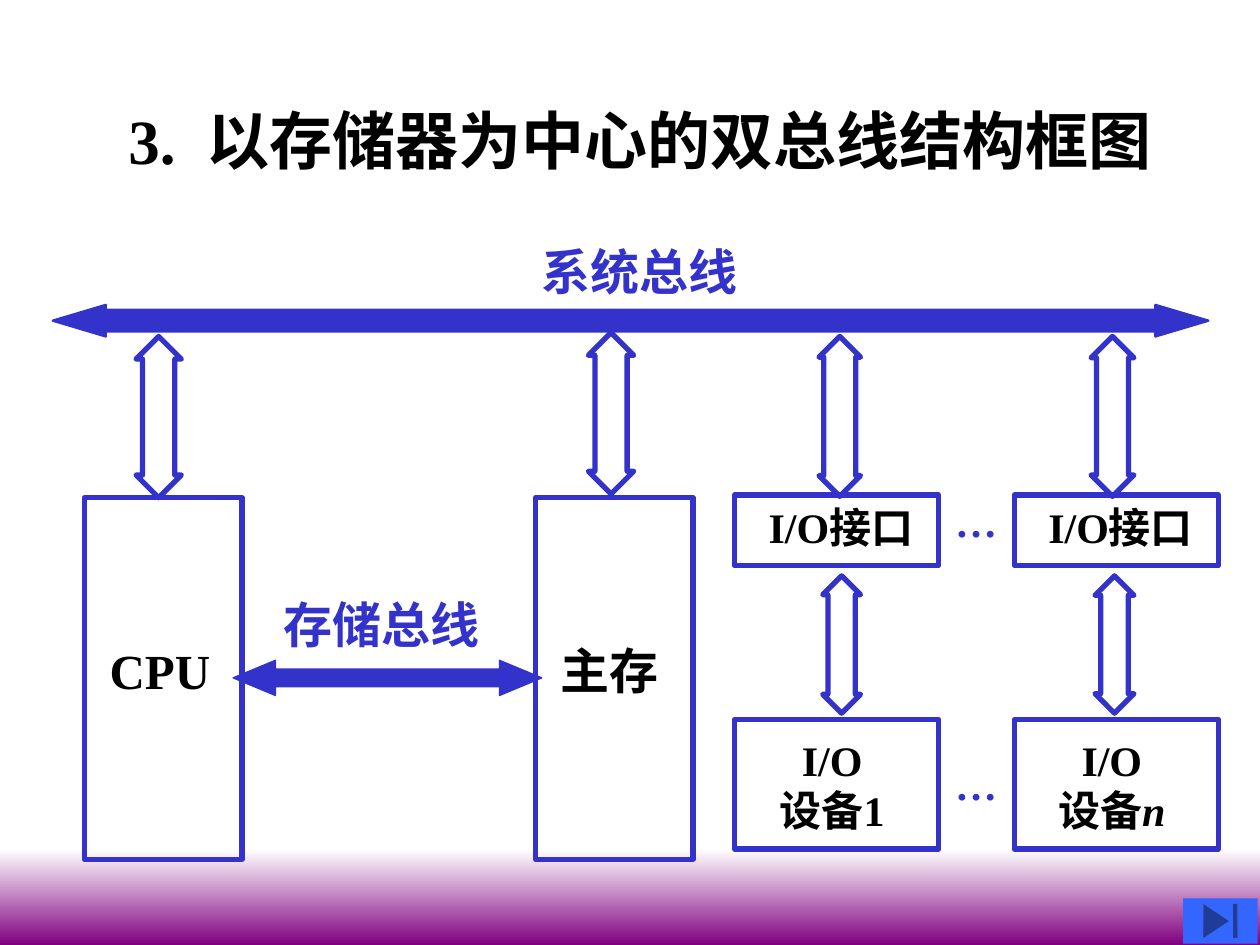
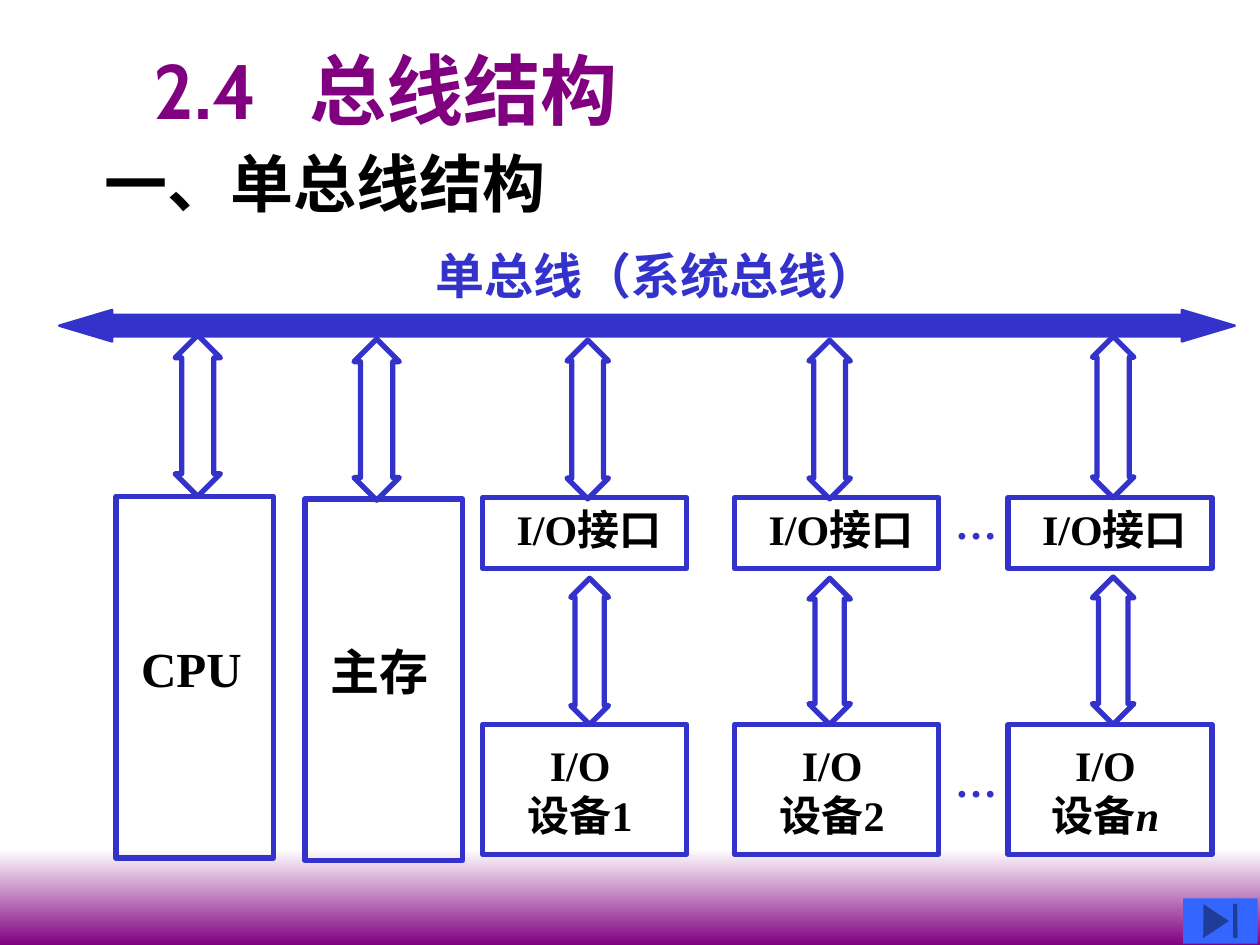
from lxml.etree import SubElement
from pptx import Presentation
from pptx.dml.color import RGBColor
from pptx.enum.shapes import MSO_SHAPE
from pptx.enum.text import MSO_ANCHOR, PP_ALIGN
from pptx.oxml.ns import qn
from pptx.util import Inches, Pt

COLORS = {
    "text": "000000",
    "bus": "3333CC",
    "accent": "800080",
    "paper": "FFFFFF",
    "button": "3366FF",
}
LATIN = "Times New Roman"
HAN = "Noto Sans CJK SC"
BLANK_LAYOUT = 6


def color(name):
    return RGBColor.from_string(COLORS[name])


def write(frame, text, size=28, font=LATIN, ink="text", align=PP_ALIGN.LEFT,
          anchor=MSO_ANCHOR.TOP, insets=(0.1, 0.05, 0.1, 0.05), wrap=True,
          tab=None, italic=None):
    frame.word_wrap = wrap
    frame.vertical_anchor = anchor
    (frame.margin_left, frame.margin_top,
     frame.margin_right, frame.margin_bottom) = map(Inches, insets)
    for index, line in enumerate(text.split("\n")):
        paragraph = frame.add_paragraph() if index else frame.paragraphs[0]
        paragraph.alignment = align
        if tab:
            stops = SubElement(paragraph._p.get_or_add_pPr(), qn("a:tabLst"))
            SubElement(stops, qn("a:tab"), pos=str(Inches(tab)), algn="l")
        parts = line.partition(italic) if italic else (line,)
        for part in filter(None, parts):
            run = paragraph.add_run()
            run.text = part
            run.font.size = Pt(size)
            run.font.bold = True
            run.font.name = font
            run.font.color.rgb = color(ink)
            if part == italic:
                run.font.italic = True
            SubElement(run._r.get_or_add_rPr(), qn("a:ea"), typeface=HAN)


class BusDiagram:
    def __init__(self, deck):
        self.deck = deck
        self.slide = None

    def start_slide(self):
        self.slide = self.deck.slides.add_slide(
            self.deck.slide_layouts[BLANK_LAYOUT])
        band = self.shape(MSO_SHAPE.RECTANGLE, 0, 6.74, 10, 0.76)
        band.fill.gradient()
        band.fill.gradient_angle = 270
        for stop, name in zip(band.fill.gradient_stops, ("paper", "accent")):
            stop.color.rgb = color(name)

    def shape(self, kind, left, top, width, height, fill=None, line=None):
        shape = self.slide.shapes.add_shape(
            kind, *map(Inches, (left, top, width, height)))
        shape.shadow.inherit = False
        if fill:
            shape.fill.solid()
            shape.fill.fore_color.rgb = color(fill)
        else:
            shape.fill.background()
        if line:
            shape.line.color.rgb = color("bus")
            shape.line.width = Pt(line)
        else:
            shape.line.fill.background()
        return shape

    def label(self, text, left, top, width, height, **style):
        area = self.slide.shapes.add_textbox(
            *map(Inches, (left, top, width, height)))
        write(area.text_frame, text, **style)

    def box(self, text, left, top, width, height, **style):
        frame = self.shape(
            MSO_SHAPE.RECTANGLE, left, top, width, height, line=3)
        write(frame.text_frame, text, **style)

    def horizontal_bus(self, left, top, width, height, shaft, head, line):
        bus = self.shape(MSO_SHAPE.LEFT_RIGHT_ARROW, left, top, width, height,
                         fill="bus", line=line)
        bus.adjustments[0] = shaft
        bus.adjustments[1] = head

    def system_bus(self, left, top, width):
        self.horizontal_bus(left, top, width, 0.25, 0.68, 1.68, 1.39)

    def link(self, left, top, width, height):
        arrow = self.shape(
            MSO_SHAPE.UP_DOWN_ARROW, left, top, width, height, line=3)
        arrow.adjustments[0] = 0.5
        arrow.adjustments[1] = 0.2 * height / width
        SubElement(arrow.line._get_or_add_ln(), qn("a:round"))

    def bus_label(self, text, left, top, width):
        self.label(text, left, top, width, 0.47, font=HAN, ink="bus",
                   insets=(0, 0, 0, 0))

    def unit(self, name, left, top, link_left, link_top):
        self.box(name, left, top, 1.25, 2.87, anchor=MSO_ANCHOR.MIDDLE,
                 insets=(0.2, 0.05, 0, 0.19))
        self.link(link_left, link_top, 0.36, 1.28)

    def io_column(self, number, left, port_top, device_top, links):
        self.box("I/O接口", left, port_top, 1.62, 0.56, size=24,
                 insets=(0.27, 0.05, 0, 0.05))
        self.box(f"I/O\n设备{number}", left, device_top, 1.62, 1.03, size=24,
                 align=PP_ALIGN.CENTER, insets=(0.1, 0.12, 0.17, 0),
                 italic="n")
        for link in links:
            self.link(*link)

    def ellipses(self, *tops):
        for top in tops:
            self.label("…", 7.58, top, 0.33, 0.4, size=24, ink="bus",
                       insets=(0, 0, 0, 0), wrap=False)

    def end_button(self):
        self.shape(MSO_SHAPE.ACTION_BUTTON_END, 9.39, 7.13, 0.59, 0.36,
                   fill="button")


def dual_bus_slide(diagram):
    diagram.start_slide()
    diagram.label("3.\t以存储器为中心的双总线结构框图", 0.92, 0.76, 8.67, 0.7,
                  size=36, tab=0.62)
    diagram.bus_label("系统总线", 4.3, 1.92, 2.53)
    diagram.system_bus(0.42, 2.42, 9.17)
    diagram.unit("主存", 4.25, 3.95, 4.67, 2.64)
    diagram.unit("CPU", 0.67, 3.95, 1.08, 2.67)
    for number, left, port_link, device_link in (
            (1, 5.83, (6.5, 0.33), (6.53, 0.3)),
            ("n", 8.05, (8.66, 0.34), (8.69, 0.31))):
        links = ((port_link[0], 2.67, port_link[1], 1.27),
                 (device_link[0], 4.57, device_link[1], 1.09))
        diagram.io_column(number, left, 3.93, 5.71, links)
    diagram.ellipses(3.93, 6.02)
    diagram.horizontal_bus(1.85, 5.24, 2.45, 0.28, 0.5, 1.2, 0.75)
    diagram.label("存储总线", 2.15, 4.67, 1.85, 0.57, ink="bus")
    diagram.end_button()


def single_bus_slide(diagram):
    diagram.start_slide()
    diagram.label("2.4\t总线结构", 1.12, 0.06, 8.5, 1.06, size=44,
                  font="Cabin", ink="accent", anchor=MSO_ANCHOR.BOTTOM,
                  tab=1.24)
    diagram.label("一、单总线结构", 0.73, 1.1, 5.02, 0.7, size=36)
    diagram.bus_label("单总线（系统总线）", 3.46, 1.95, 3.65)
    diagram.system_bus(0.47, 2.46, 9.33)
    diagram.unit("CPU", 0.92, 3.94, 1.39, 2.66)
    diagram.unit("主存", 2.42, 3.96, 2.81, 2.69)
    for number, left, port_link, device_link in (
            (1, 3.83, (4.5, 2.7, 0.33, 1.26), (4.53, 4.59, 0.3, 1.16)),
            (2, 5.83, (6.42, 2.7, 0.33, 1.26), (6.42, 4.59, 0.33, 1.16)),
            ("n", 8, (8.67, 2.67, 0.33, 1.28), (8.67, 4.58, 0.33, 1.17))):
        diagram.io_column(number, left, 3.95, 5.75, (port_link, device_link))
    diagram.ellipses(3.95, 6)
    diagram.end_button()


def main():
    deck = Presentation()
    deck.slide_width = Inches(10)
    deck.slide_height = Inches(7.5)
    diagram = BusDiagram(deck)
    dual_bus_slide(diagram)
    single_bus_slide(diagram)
    deck.save("out.pptx")


if __name__ == "__main__":
    main()
